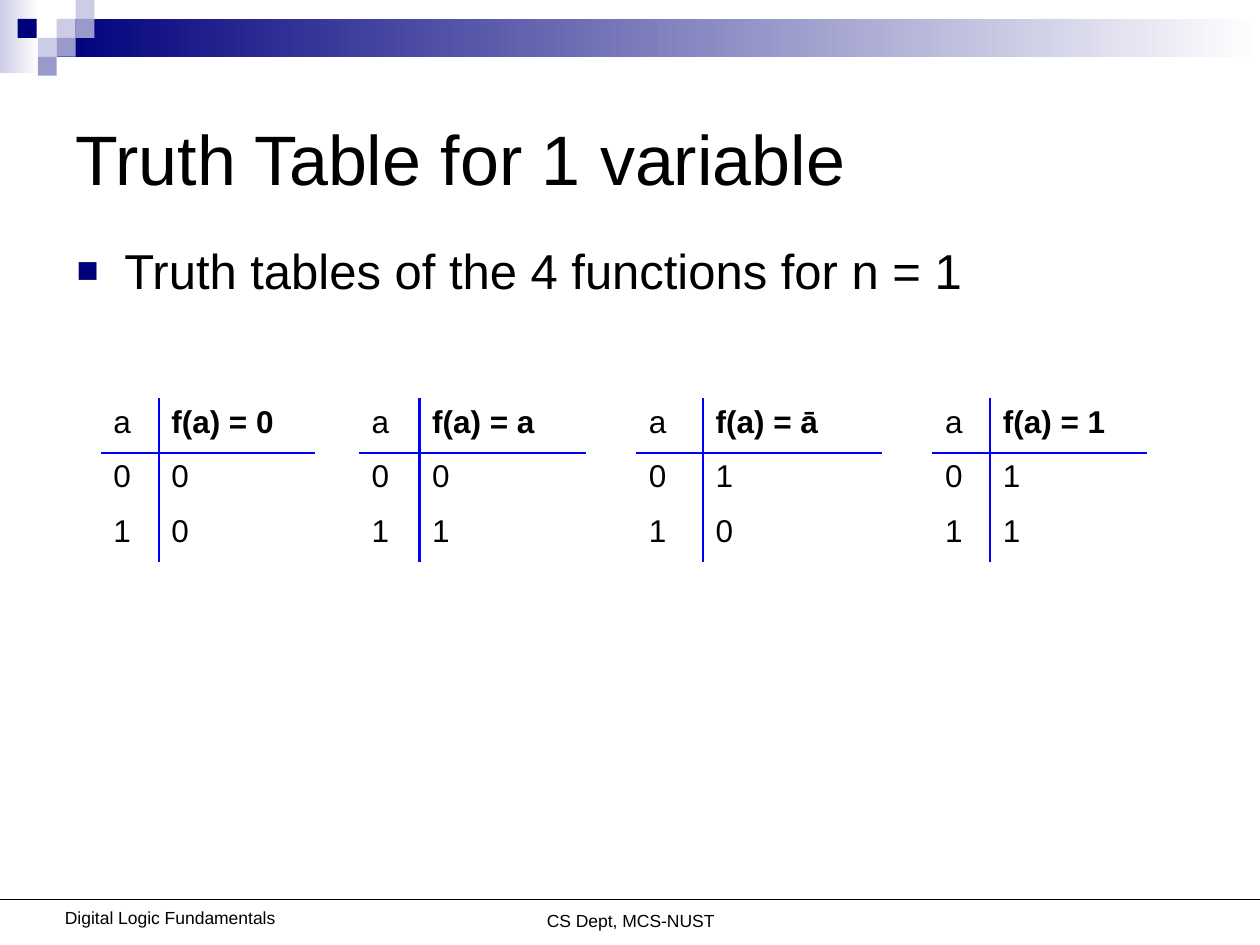
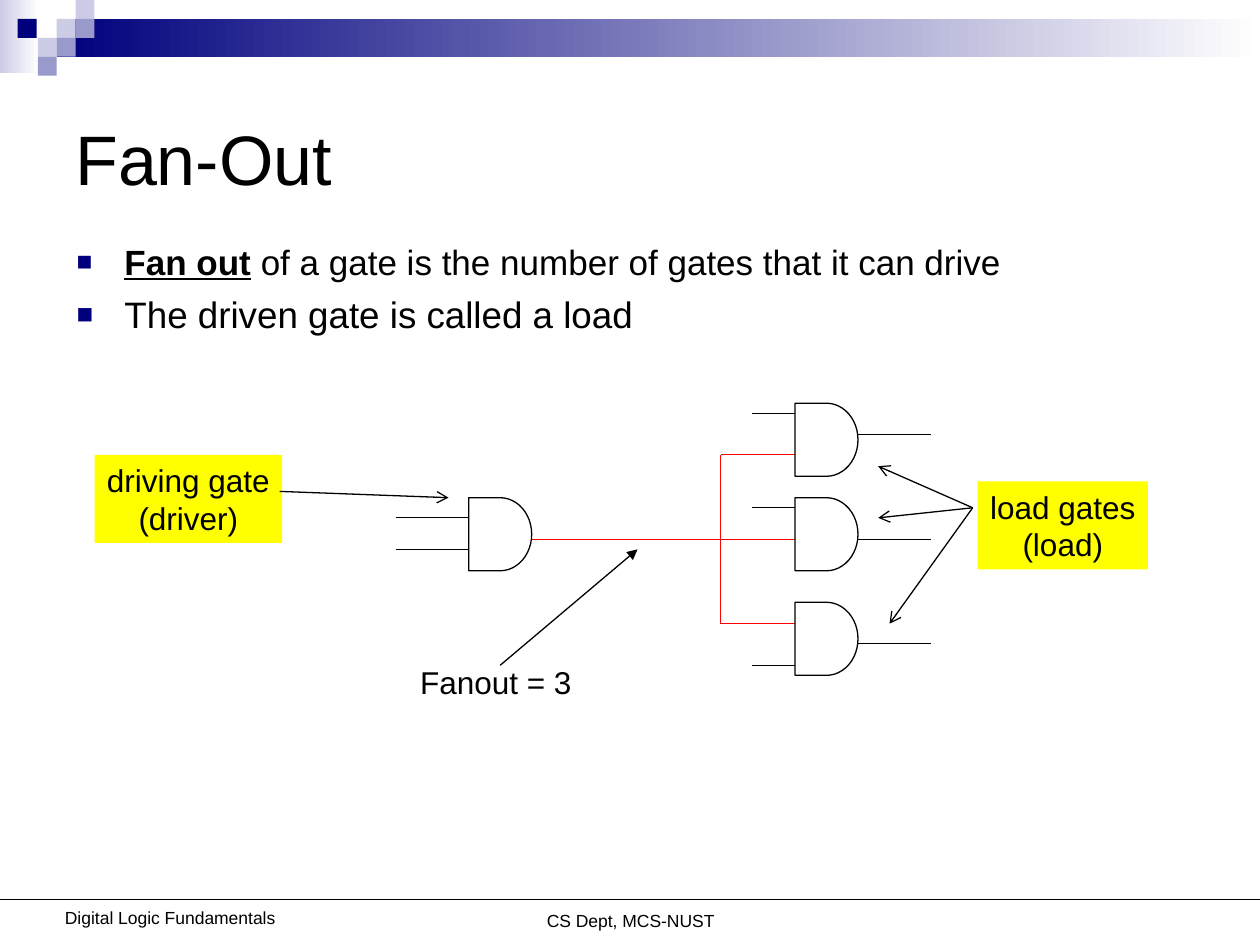
from typing import NamedTuple

import pptx
import pptx.dml.color
import pptx.enum.shapes
import pptx.enum.text
import pptx.oxml
import pptx.oxml.ns
import pptx.util
from lxml import etree
from pptx.util import Inches

COLORS = {
    "black": "000000", "navy": "00007D", "lilac": "CCCCE6", "violet": "9999CC",
    "white": "FFFFFF", "rule": "0000FF", "wire": "FF0000", "label": "FFFF00",
}
FONT = "Arial"
TILE = 0.15
RULE_WIDTH = 1.47
ALIGN = pptx.enum.text.PP_ALIGN
ANCHOR = pptx.enum.text.MSO_ANCHOR
SHAPE = pptx.enum.shapes.MSO_SHAPE
qn = pptx.oxml.ns.qn


class Box(NamedTuple):
    left: float
    top: float
    width: float
    height: float


class Run(NamedTuple):
    text: str
    size: float
    strong: bool = False  # bold and underlined


class Bullet(NamedTuple):
    runs: list[Run]
    space_before: float


class TruthTable(NamedTuple):
    left: float
    widths: tuple[float, float]
    function: str
    values: str


class Line(NamedTuple):
    x1: float
    y1: float
    x2: float
    y2: float
    color: str = "black"
    arrow: str = ""


class LoadGate(NamedTuple):
    top: float
    input_y: float
    output_y: float
    wire_y: float


class Label(NamedTuple):
    box: Box
    text: str


# Corner tiles: left, top, colour
TILES = [
    (0.45, 0.15, "lilac"), (0.6, 0, "lilac"), (0.6, 0.15, "violet"),
    (0.3, 0.3, "lilac"), (0.14, 0.15, "navy"), (0.45, 0.3, "violet"),
    (0.3, 0.45, "violet"),
]
BANDS = [(Box(0, 0, 0.31, 0.58), "lilac"), (Box(0.45, 0.15, 9.55, 0.3), "navy")]
FOOTERS = [
    Label(Box(2.92, 7.17, 4.17, 0.27), "CS Dept, MCS-NUST"),
    Label(Box(0.35, 7.15, 2, 0.27), "Digital Logic Fundamentals"),
]

TRUTH_TABLES = [
    TruthTable(0.8, (0.46, 1.24), "0", "00"),
    TruthTable(2.85, (0.48, 1.32), "a", "01"),
    TruthTable(5.05, (0.53, 1.42), "ā", "10"),
    TruthTable(7.4, (0.46, 1.24), "1", "11"),
]

GATE_SIZE = (0.5, 0.58)
DRIVER_X, DRIVER_Y = 3.72, 3.95
LOAD_X, BRANCH_X, JOINT_X = 6.31, 5.72, 5.81
STUB = 0.58
LOADS = [
    LoadGate(3.2, 3.28, 3.45, 3.61),
    LoadGate(3.95, 4.03, 4.28, 4.28),
    LoadGate(4.78, 5.28, 5.11, 4.95),
]
GATE_LABELS = [
    Label(Box(0.75, 3.61, 1.49, 0.7), "driving gate\n(driver)"),
    Label(Box(7.76, 3.82, 1.35, 0.7), "load gates\v(load)"),
]
ARROWS = [
    Line(3.97, 5.28, 5.06, 4.36, arrow="triangle"),
    Line(2.22, 3.9, 3.56, 3.95, arrow="arrow"),
    *(Line(7.72, 4.03, x, y, arrow="arrow")
      for x, y in [(6.97, 3.7), (6.97, 4.11), (7.06, 4.95)]),
]


def rgb(name: str) -> pptx.dml.color.RGBColor:
    return pptx.dml.color.RGBColor.from_string(COLORS[name])


def style_run(r, size: float, bold: bool = False) -> None:
    r.font.name = FONT
    r.font.size = pptx.util.Pt(size)
    r.font.bold = bold
    r.font.color.rgb = rgb("black")


def set_text(tf, text: str, size: float, align=ALIGN.LEFT, bold: bool = False) -> None:
    tf.text = text
    for p in tf.paragraphs:
        p.alignment = align
        for r in p.runs:
            style_run(r, size, bold)


def add_box(slide, box: Box):
    sp = slide.shapes.add_textbox(*map(Inches, box))
    sp.text_frame.word_wrap = True
    return sp.text_frame


def add_shape(slide, kind, box: Box, fill: str = "", line: str = ""):
    sp = slide.shapes.add_shape(kind, *map(Inches, box))
    sp.shadow.inherit = False
    if fill:
        sp.fill.solid()
        sp.fill.fore_color.rgb = rgb(fill)
    else:
        sp.fill.background()
    if line:
        sp.line.color.rgb = rgb(line)
        sp.line.width = pptx.util.Pt(0.75)
    else:
        sp.line.fill.background()
    return sp


def add_line(slide, line: Line) -> None:
    cn = slide.shapes.add_connector(
        pptx.enum.shapes.MSO_CONNECTOR.STRAIGHT, *map(Inches, line[:4]))
    cn.line.color.rgb = rgb(line.color)
    cn.line.width = pptx.util.Pt(0.75)
    if line.arrow:
        etree.SubElement(cn.line._get_or_add_ln(), qn("a:tailEnd"), type=line.arrow)
    etree.SubElement(cn._element.spPr, qn("a:effectLst"))


def add_base(prs, title: str):
    """Add a slide with the bands, tiles, footers and title."""
    slide = prs.slides.add_slide(prs.slide_layouts[6])
    for box, color in BANDS:
        sp = add_shape(slide, SHAPE.RECTANGLE, box)
        sp.fill.gradient()
        sp.fill.gradient_angle = 0
        for stop, name in zip(sp.fill.gradient_stops, (color, "white")):
            stop.color.rgb = rgb(name)
    for left, top, color in TILES:
        add_shape(slide, SHAPE.RECTANGLE, Box(left, top, TILE, TILE), color)
    for footer in FOOTERS:
        set_text(add_box(slide, footer.box), footer.text, 10, ALIGN.CENTER)
    add_line(slide, Line(0, 7.14, 10, 7.14))
    tf = add_box(slide, Box(0.5, 0.5, 9, 1.5))
    tf.vertical_anchor = ANCHOR.MIDDLE
    set_text(tf, title, 40)
    return slide


def add_bullets(slide, height: float, bullets: list[Bullet]) -> None:
    tf = add_box(slide, Box(0.51, 1.86, 9, height))
    for i, bullet in enumerate(bullets):
        p = tf.add_paragraph() if i else tf.paragraphs[0]
        p.space_before = pptx.util.Pt(bullet.space_before)
        for run in bullet.runs:
            r = p.add_run()
            r.text = run.text
            style_run(r, run.size, run.strong)
            r.font.underline = run.strong
        pPr = p._p.get_or_add_pPr()
        pPr.set("marL", str(Inches(0.38)))
        pPr.set("indent", str(Inches(-0.38)))
        color = etree.SubElement(pPr, qn("a:buClr"))
        etree.SubElement(color, qn("a:srgbClr"), val=COLORS["navy"])
        etree.SubElement(pPr, qn("a:buSzPct"), val="75000")
        etree.SubElement(pPr, qn("a:buFont"), typeface=FONT)
        etree.SubElement(pPr, qn("a:buChar"), char="■")


def set_borders(cell, ruled: str) -> None:
    """Rule the sides named in ruled (L, R, T, B) and clear the others."""
    tcPr = cell._tc.get_or_add_tcPr()
    for i, side in enumerate("LRTB"):
        ln = etree.Element(qn(f"a:ln{side}"))
        if side in ruled:
            ln.set("w", str(pptx.util.Pt(RULE_WIDTH)))
            fill = etree.SubElement(ln, qn("a:solidFill"))
            etree.SubElement(fill, qn("a:srgbClr"), val=COLORS["rule"])
        else:
            etree.SubElement(ln, qn("a:noFill"))
        tcPr.insert(i, ln)


def add_truth_table(slide, spec: TruthTable) -> None:
    rows = [("a", f"f(a) = {spec.function}"), *zip("01", spec.values)]
    box = Box(spec.left, 3.16, sum(spec.widths), 1.3)
    table = slide.shapes.add_table(len(rows), 2, *map(Inches, box)).table
    table.first_row = table.horz_banding = False
    for column, width in zip(table.columns, spec.widths):
        column.width = Inches(width)
    for i, row in enumerate(rows):
        for j, text in enumerate(row):
            cell = table.cell(i, j)
            cell.fill.background()
            set_text(cell.text_frame, text, 18, bold=(i == 0 and j == 1))
            set_borders(cell, "RL"[j] + {0: "B", 1: "T"}.get(i, ""))


def add_gate(slide, left: float, top: float) -> None:
    add_shape(slide, SHAPE.FLOWCHART_DELAY, Box(left, top, *GATE_SIZE), line="black")


def build_truth_tables(prs) -> None:
    slide = add_base(prs, "Truth Table for 1 variable")
    add_bullets(slide, 0.95, [
        Bullet([Run("Truth tables of the 4 functions for n = 1", 28)], 7)])
    for spec in TRUTH_TABLES:
        add_truth_table(slide, spec)


def build_fan_out(prs) -> None:
    slide = add_base(prs, "Fan-Out")
    add_bullets(slide, 1.26, [
        Bullet([Run("Fan out", 20, True),
                Run(" of a gate is the number of gates that it can drive", 20)], 5),
        Bullet([Run("The driven gate is called a load", 21)], 5.2),
    ])

    # Driving gate with its inputs and the wire it drives
    add_gate(slide, DRIVER_X, DRIVER_Y)
    for y in (4.11, 4.36):
        add_line(slide, Line(DRIVER_X - STUB, y, DRIVER_X, y))
    add_line(slide, Line(DRIVER_X + GATE_SIZE[0], 4.28, JOINT_X, 4.28, "wire"))
    add_line(slide, Line(BRANCH_X, LOADS[0].wire_y, BRANCH_X, LOADS[-1].wire_y, "wire"))

    # Load gates
    output_x = LOAD_X + GATE_SIZE[0]
    for load in LOADS:
        start = JOINT_X if load.wire_y == 4.28 else BRANCH_X
        add_line(slide, Line(start, load.wire_y, LOAD_X, load.wire_y, "wire"))
        add_gate(slide, LOAD_X, load.top)
        add_line(slide, Line(5.97, load.input_y, LOAD_X, load.input_y))
        add_line(slide, Line(output_x, load.output_y, output_x + STUB, load.output_y))

    # Labels and pointers
    tf = add_box(slide, Box(2.31, 5.21, 3.25, 0.4))
    set_text(tf, "Fanout = 3", 18, ALIGN.CENTER)
    tf.paragraphs[0].space_before = pptx.util.Pt(11.2)
    for label in GATE_LABELS:
        tf = add_shape(slide, SHAPE.RECTANGLE, label.box, "label").text_frame
        tf.word_wrap = False
        tf.vertical_anchor = ANCHOR.MIDDLE
        set_text(tf, label.text, 18, ALIGN.CENTER)
    for arrow in ARROWS:
        add_line(slide, arrow)


def main() -> None:
    prs = pptx.Presentation()
    prs.slide_width, prs.slide_height = Inches(10), Inches(7.5)
    build_truth_tables(prs)
    build_fan_out(prs)
    prs.save("out.pptx")


if __name__ == "__main__":
    main()
